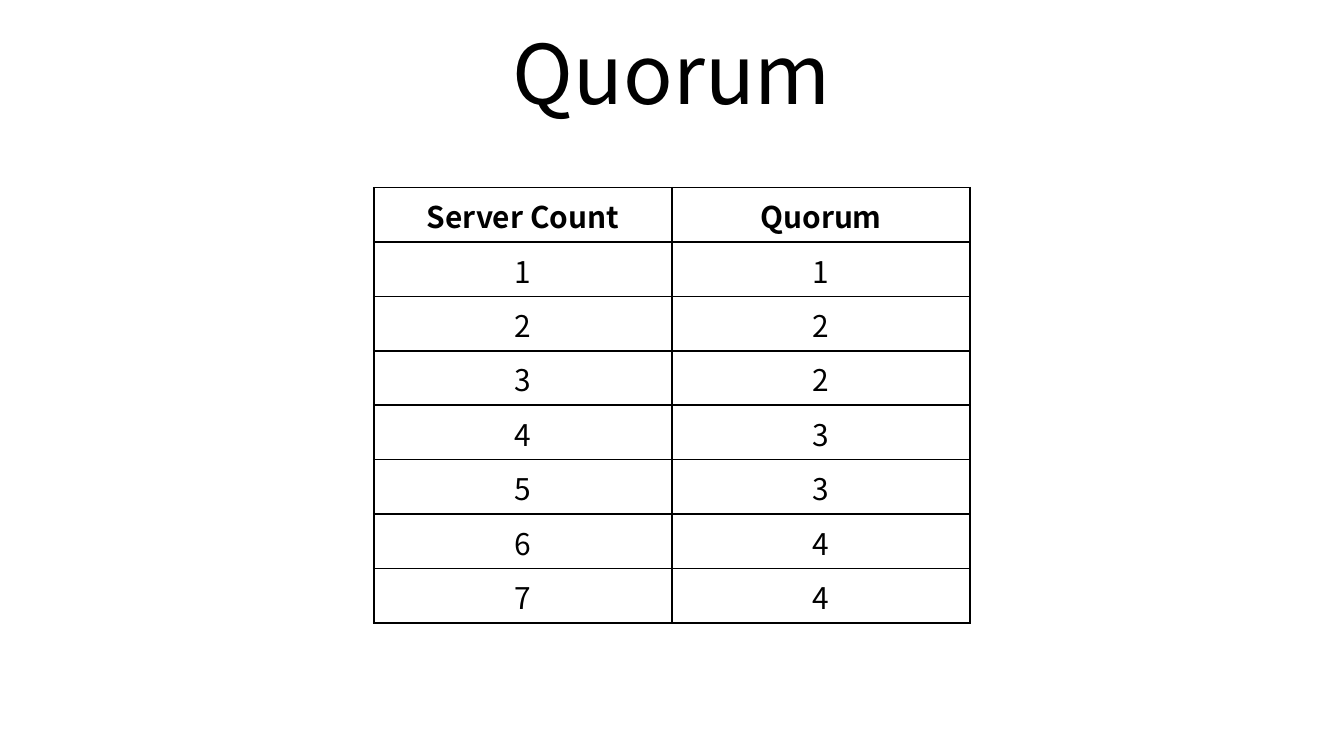
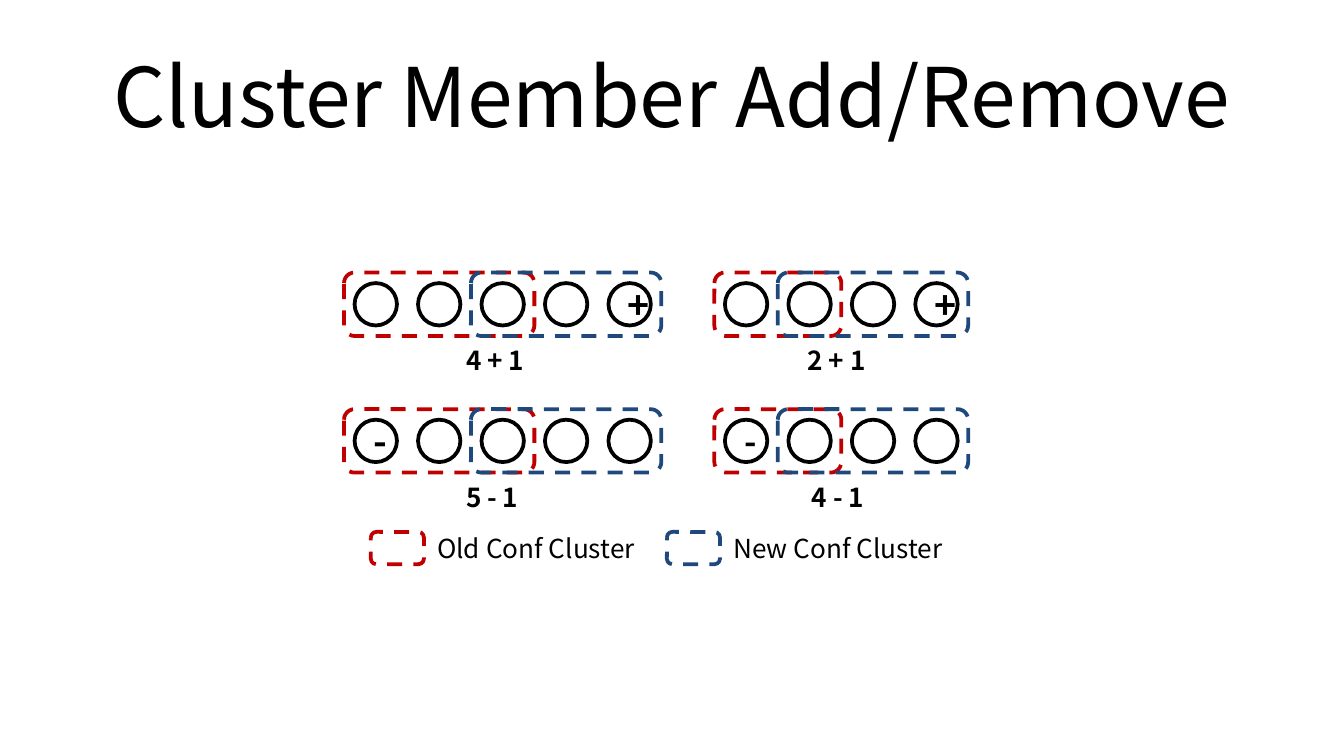
from dataclasses import dataclass

from lxml import etree
from pptx import Presentation
from pptx import util as u
from pptx.dml import color
from pptx.enum import dml, shapes, text
from pptx.oxml import ns

Pt = u.Pt


@dataclass(frozen=True)
class Theme:
    font: str = "Noto Sans CJK KR"
    ink: str = "000000"
    old: str = "C00000"
    new: str = "1F497D"
    title_size: int = 44
    table_size: int = 16
    label_size: int = 14
    outline: int = 2
    border: int = 1


THEME = Theme()
SLIDE_SIZE = (720, 405)
TITLE_BOX = (36, 648, 67.5)

QUORUM_TITLE = ("Quorum", 4.5)
QUORUM_ROWS = [
    ("Server Count", "Quorum"),
    ("1", "1"),
    ("2", "2"),
    ("3", "2"),
    ("4", "3"),
    ("5", "3"),
    ("6", "4"),
    ("7", "4"),
]
QUORUM_LEFT, QUORUM_TOP = 200.2, 100.5
COLUMN_WIDTH, ROW_HEIGHT = 159.8, 29.15

CLUSTER_TITLE = ("Cluster Member Add/Remove", 16.9)
CLUSTER_LEFTS = (184.3, 382.7)
CLUSTER_TOPS = (146, 219.2)
CLUSTERS = [
    dict(label="4 + 1", column=0, row=0, servers=5, old=3, changed=4, sign="+",
         sign_size=20, label_left=242.6, label_width=51),
    dict(label="5 - 1", column=0, row=1, servers=5, old=3, changed=0, sign="-",
         sign_size=20, label_left=242.6, label_width=46.6),
    dict(label="2 + 1", column=1, row=0, servers=4, old=2, changed=3, sign="+",
         sign_size=20, label_left=425.5, label_width=51),
    dict(label="4 - 1", column=1, row=1, servers=4, old=2, changed=0, sign="-",
         sign_size=18, label_left=427.9, label_width=46.6),
]
SLOT, SERVER = 34, 22.7
LABEL_GAP, LABEL_HEIGHT = 0.8, 24.2

LEGEND = [("Old Conf Cluster", THEME.old, 121.7), ("New Conf Cluster", THEME.new, 127.4)]
LEGEND_LEFT, LEGEND_TOP, LEGEND_STEP = 198.7, 285, 158.6
KEY_WIDTH, KEY_HEIGHT, KEY_LABEL_RISE = 28.4, 17.3, 3.5


def points(*lengths):
    return [Pt(length) for length in lengths]


def rgb(value):
    return color.RGBColor.from_string(value)


def write(frame, words, size=THEME.label_size, bold=False, align=text.PP_ALIGN.LEFT,
          anchor=text.MSO_ANCHOR.MIDDLE, wrap=True, grow=False):
    frame.word_wrap = wrap
    frame.vertical_anchor = anchor
    if grow:
        frame.auto_size = text.MSO_AUTO_SIZE.SHAPE_TO_FIT_TEXT
    paragraph = frame.paragraphs[0]
    paragraph.alignment = align
    run = paragraph.add_run()
    run.text = words
    run.font.name = THEME.font
    run.font.size = Pt(size)
    run.font.bold = bold
    run.font.color.rgb = rgb(THEME.ink)


def add_words(slide, box, words, **fmt):
    write(slide.shapes.add_textbox(*points(*box)).text_frame, words, **fmt)


def add_outline(slide, kind, box, line, dashed=False):
    outline = slide.shapes.add_shape(kind, *points(*box))
    outline.shadow.inherit = False
    outline.fill.background()
    outline.line.color.rgb = rgb(line)
    outline.line.width = Pt(THEME.outline)
    if dashed:
        outline.line.dash_style = dml.MSO_LINE.DASH
    return outline


def add_group_box(slide, box, line):
    add_outline(slide, shapes.MSO_SHAPE.ROUNDED_RECTANGLE, box, line, dashed=True)


def add_titled_slide(deck, title, top):
    slide = deck.slides.add_slide(deck.slide_layouts[6])
    left, width, height = TITLE_BOX
    add_words(slide, (left, top, width, height), title,
              size=THEME.title_size, align=text.PP_ALIGN.CENTER)
    return slide


def add_borders(cell):
    properties = cell._tc.get_or_add_tcPr()
    for side in ("lnL", "lnR", "lnT", "lnB"):
        border = etree.SubElement(properties, ns.qn(f"a:{side}"), w=str(Pt(THEME.border)))
        fill = etree.SubElement(border, ns.qn("a:solidFill"))
        etree.SubElement(fill, ns.qn("a:srgbClr"), val=THEME.ink)


def add_quorum_table(slide):
    row_count, column_count = len(QUORUM_ROWS), len(QUORUM_ROWS[0])
    box = points(QUORUM_LEFT, QUORUM_TOP, column_count * COLUMN_WIDTH, row_count * ROW_HEIGHT)
    quorum = slide.shapes.add_table(row_count, column_count, *box).table
    quorum.horz_banding = False
    for column in quorum.columns:
        column.width = Pt(COLUMN_WIDTH)
    for r, values in enumerate(QUORUM_ROWS):
        quorum.rows[r].height = Pt(ROW_HEIGHT)
        for c, value in enumerate(values):
            cell = quorum.cell(r, c)
            add_borders(cell)
            cell.fill.background()
            write(cell.text_frame, value, size=THEME.table_size, bold=r == 0,
                  align=text.PP_ALIGN.CENTER, anchor=text.MSO_ANCHOR.TOP)


def add_cluster(slide, cluster):
    left, top = CLUSTER_LEFTS[cluster["column"]], CLUSTER_TOPS[cluster["row"]]
    inset = (SLOT - SERVER) / 2
    for i in range(cluster["servers"]):
        server = add_outline(slide, shapes.MSO_SHAPE.OVAL,
                             (left + i * SLOT + inset, top + inset, SERVER, SERVER), THEME.ink)
        if i == cluster["changed"]:
            write(server.text_frame, cluster["sign"], size=cluster["sign_size"],
                  bold=True, align=text.PP_ALIGN.CENTER)
    shared = cluster["old"] - 1
    add_group_box(slide, (left, top, cluster["old"] * SLOT, SLOT), THEME.old)
    add_group_box(slide, (left + shared * SLOT, top, (cluster["servers"] - shared) * SLOT, SLOT),
                  THEME.new)
    add_words(slide, (cluster["label_left"], top + SLOT + LABEL_GAP,
                      cluster["label_width"], LABEL_HEIGHT),
              cluster["label"], bold=True, wrap=False, grow=True)


def add_legend(slide):
    for i, (label, line, width) in enumerate(LEGEND):
        left = LEGEND_LEFT + i * LEGEND_STEP
        add_group_box(slide, (left, LEGEND_TOP, KEY_WIDTH, KEY_HEIGHT), line)
        add_words(slide, (left + KEY_WIDTH, LEGEND_TOP - KEY_LABEL_RISE, width, LABEL_HEIGHT),
                  label, anchor=text.MSO_ANCHOR.TOP, wrap=False, grow=True)


def main():
    deck = Presentation()
    deck.slide_width, deck.slide_height = points(*SLIDE_SIZE)
    add_quorum_table(add_titled_slide(deck, *QUORUM_TITLE))
    membership = add_titled_slide(deck, *CLUSTER_TITLE)
    for cluster in CLUSTERS:
        add_cluster(membership, cluster)
    add_legend(membership)
    deck.save("out.pptx")


if __name__ == "__main__":
    main()
